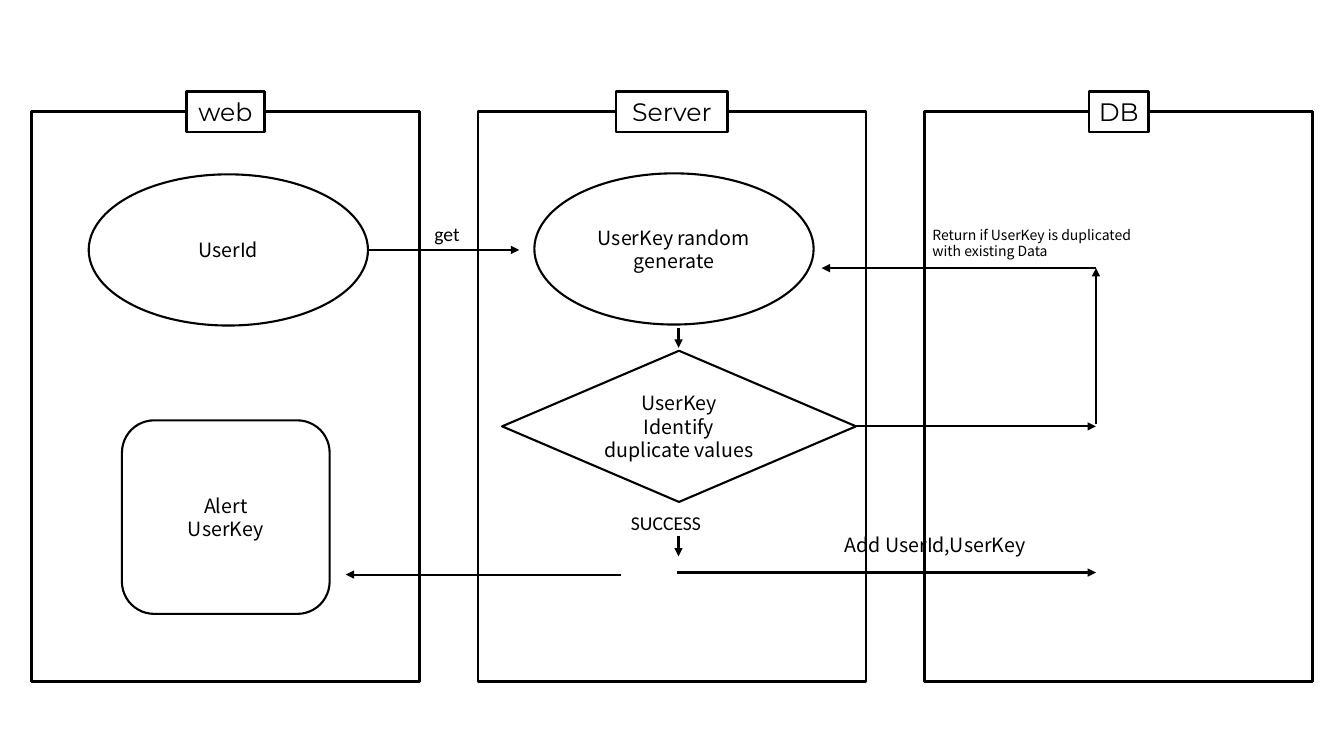
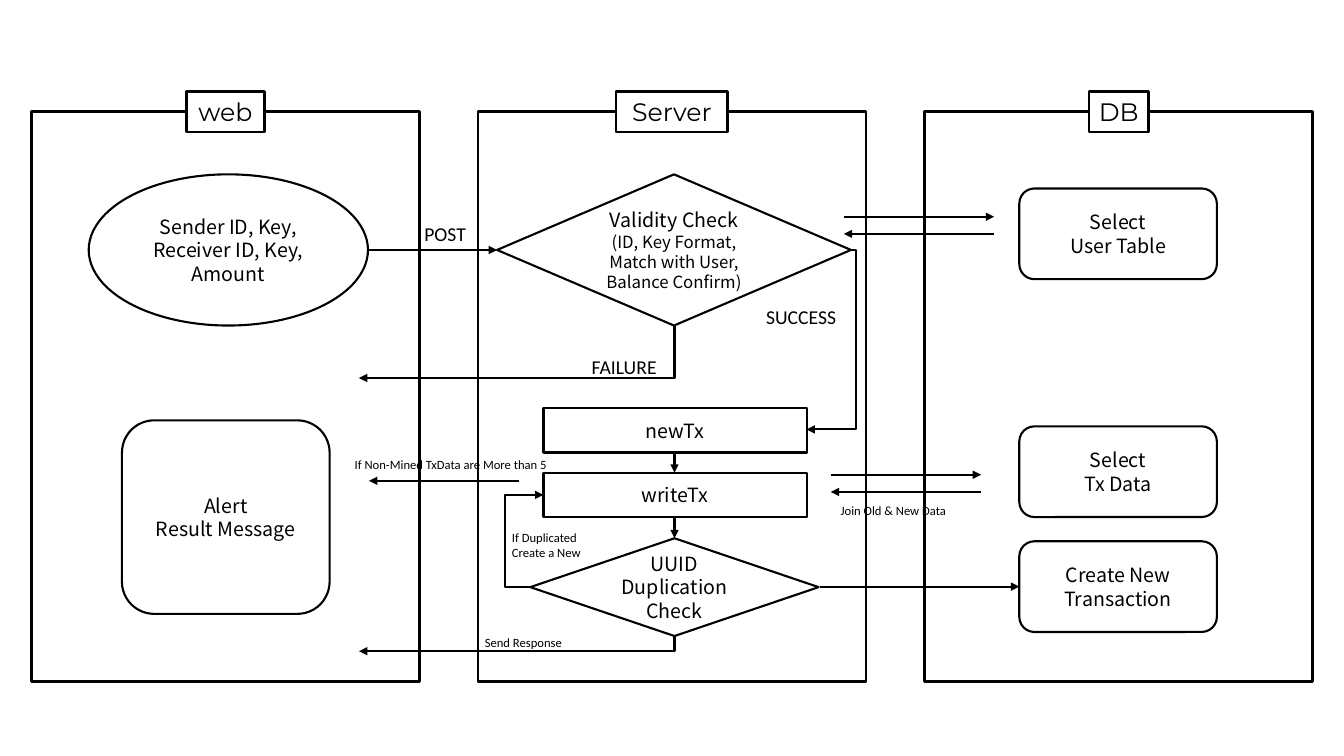
import dataclasses

import lxml.etree
import pptx
import pptx.dml.color
import pptx.enum.shapes
import pptx.enum.text
import pptx.oxml.ns
import pptx.util

Inches = pptx.util.Inches
Pt = pptx.util.Pt
Preset = pptx.enum.shapes.MSO_SHAPE
Link = pptx.enum.shapes.MSO_CONNECTOR
Align = pptx.enum.text.PP_ALIGN
Anchor = pptx.enum.text.MSO_ANCHOR
qn = pptx.oxml.ns.qn


@dataclasses.dataclass(frozen=True)
class Theme:
    ink: pptx.dml.color.RGBColor = pptx.dml.color.RGBColor(0, 0, 0)
    paper: pptx.dml.color.RGBColor = pptx.dml.color.RGBColor(255, 255, 255)
    heading_font: str = "Montserrat"
    body_font: str = "Noto Sans CJK KR"
    label_font: str = "Calibri"
    heading_size: int = 18
    body_size: int = 14
    detail_size: int = 12
    caption_size: int = 10
    note_size: int = 9
    frame_line: float = 2
    flow_line: float = 1.5
    leading: float = 1.2


THEME = Theme()

# Lane grid
LANE_NAMES = [("web", 0.77), ("Server", 1.11), ("DB", 0.59)]
LANE_LEFT, LANE_TOP, LANE_WIDTH, LANE_HEIGHT = 0.31, 1.11, 3.85, 5.65
LANE_STEP = 4.43
TAB_HEIGHT = 0.4


@dataclasses.dataclass(frozen=True)
class Lane:
    """A lane's origin; everything in it is placed relative to that."""
    page: object
    left: float
    top: float

    def point(self, x, y):
        return Inches(self.left + x), Inches(self.top + y)

    def node(self, preset, box, lines, sizes=()):
        """Outlined flowchart step with centred text."""
        x, y, width, height = box
        shape = self.page.shapes.add_shape(
            preset, *self.point(x, y), Inches(width), Inches(height))
        outline(shape, THEME.flow_line)
        write(shape, lines, THEME.body_font, sizes or [THEME.body_size] * len(lines),
              Align.CENTER, Anchor.MIDDLE)

    def label(self, box, lines, size=THEME.body_size, font=THEME.label_font,
              align=Align.LEFT, anchor=Anchor.TOP):
        """Free text beside an arrow."""
        x, y, width, height = box
        shape = self.page.shapes.add_textbox(
            *self.point(x, y), Inches(width), Inches(height))
        write(shape, lines, font, [size] * len(lines), align, anchor)

    def arrow(self, start, end, kind=Link.STRAIGHT):
        connector = self.page.shapes.add_connector(
            kind, *self.point(*start), *self.point(*end))
        connector.line.color.rgb = THEME.ink
        connector.line.width = Pt(THEME.flow_line)
        lxml.etree.SubElement(
            connector.line._get_or_add_ln(), qn("a:tailEnd"), type="triangle")
        lxml.etree.SubElement(connector._element.spPr, qn("a:effectLst"))
        return connector

    def side_arrow(self, start, end, side):
        """Elbow arrow that runs along the vertical at x = side."""
        connector = self.arrow(start, end, Link.ELBOW)
        bend = round((side - start[0]) / (end[0] - start[0]) * 100000)
        adjustments = connector._element.spPr.find(qn("a:prstGeom")).find(qn("a:avLst"))
        lxml.etree.SubElement(adjustments, qn("a:gd"), name="adj1", fmla=f"val {bend}")

    def down_left_arrow(self, start, end):
        """Arrow that goes down, then left: one corner, turned a quarter."""
        across, down = start[0] - end[0], end[1] - start[1]
        middle_x, middle_y = (start[0] + end[0]) / 2, (start[1] + end[1]) / 2
        connector = self.arrow(
            (middle_x - down / 2, middle_y - across / 2),
            (middle_x + down / 2, middle_y + across / 2), Link.ELBOW)
        properties = connector._element.spPr
        properties.find(qn("a:prstGeom")).set("prst", "bentConnector2")
        properties.find(qn("a:xfrm")).set("rot", "5400000")

    def exchange(self, left, top, width=1.49, gap=0.17):
        """Arrow out to the database and arrow back below it."""
        self.arrow((left, top), (left + width, top))
        self.arrow((left + width, top + gap), (left, top + gap))


def outline(shape, weight, fill=None):
    shape.shadow.inherit = False
    if fill is None:
        shape.fill.background()
    else:
        shape.fill.solid()
        shape.fill.fore_color.rgb = fill
    shape.line.color.rgb = THEME.ink
    shape.line.width = Pt(weight)


def write(shape, lines, font, sizes, align, anchor, wrap=True):
    frame = shape.text_frame
    frame.word_wrap = wrap
    frame.vertical_anchor = anchor
    frame.text = "\n".join(lines)
    for para, size in zip(frame.paragraphs, sizes):
        para.alignment = align
        if font == THEME.body_font:
            para.line_spacing = Pt(size * THEME.leading)
        for span in para.runs:
            span.font.name = font
            span.font.size = Pt(size)
            span.font.color.rgb = THEME.ink


def add_lane(page, left, top, name, tab_width):
    """Frame with a name tab centred on its top edge."""
    group = page.shapes.add_group_shape()
    frame = group.shapes.add_shape(
        Preset.RECTANGLE, Inches(left), Inches(top),
        Inches(LANE_WIDTH), Inches(LANE_HEIGHT))
    outline(frame, THEME.frame_line)
    tab = group.shapes.add_shape(
        Preset.RECTANGLE, Inches(left + (LANE_WIDTH - tab_width) / 2),
        Inches(top - TAB_HEIGHT / 2), Inches(tab_width), Inches(TAB_HEIGHT))
    outline(tab, THEME.frame_line, THEME.paper)
    write(tab, [name], THEME.heading_font, [THEME.heading_size],
          Align.CENTER, Anchor.MIDDLE, wrap=False)
    return Lane(page, left, top)


def add_lanes(deck):
    page = deck.slides.add_slide(deck.slide_layouts[6])
    return [add_lane(page, LANE_LEFT + index * LANE_STEP, LANE_TOP, name, width)
            for index, (name, width) in enumerate(LANE_NAMES)]


def fill_web(lane, request, method, method_box, reach, result):
    """Request sent by the page and the message it shows at the end."""
    lane.node(Preset.OVAL, (0.57, 0.62, 2.77, 1.5), request)
    lane.arrow((3.35, 1.37), (reach, 1.37))
    lane.label(method_box, [method])
    lane.node(Preset.ROUNDED_RECTANGLE, (0.9, 3.06, 2.06, 1.92), result)


def fill_key_server(lane):
    """Key generation, duplicate check and its outcomes."""
    axis, store = 1.99, 6.13
    lane.node(Preset.OVAL, (0.56, 0.61, 2.77, 1.5), ["UserKey random", "generate"])
    lane.node(Preset.FLOWCHART_DECISION, (0.24, 2.37, 3.51, 1.5),
              ["UserKey", "Identify duplicate values"])
    lane.arrow((axis, 2.14), (axis, 2.34))

    # Duplicate found: back to generation
    lane.arrow((3.73, 3.12), (store, 3.12))
    lane.arrow((store, 3.1), (store, 1.55))
    lane.arrow((store, 1.55), (3.41, 1.55))
    lane.label((4.41, 1.08, 2.43, 0.44),
               ["Return if UserKey is duplicated with existing Data"],
               THEME.caption_size, THEME.body_font, anchor=Anchor.MIDDLE)

    # Success: store the key and answer the page
    lane.label((1.42, 3.91, 1.01, 0.34), ["SUCCESS"])
    lane.arrow((axis, 4.21), (axis, 4.41))
    lane.arrow((1.97, 4.57), (store, 4.57))
    lane.label((3.23, 4.07, 2.61, 0.44), ["Add UserId,UserKey"],
               font=THEME.body_font, align=Align.CENTER, anchor=Anchor.MIDDLE)
    lane.arrow((1.42, 4.59), (-1.31, 4.59))


def fill_transfer_server(lane):
    """Validity check, transaction steps and UUID check."""
    axis, reply = 1.95, -1.18
    lane.node(Preset.FLOWCHART_DECISION, (0.19, 0.62, 3.51, 1.5),
              ["Validity Check", "(ID, Key Format, Match with User,", "Balance Confirm)"],
              [THEME.body_size, THEME.detail_size, THEME.detail_size])
    lane.node(Preset.RECTANGLE, (0.65, 2.94, 2.61, 0.44), ["newTx"])
    lane.node(Preset.RECTANGLE, (0.65, 3.58, 2.61, 0.44), ["writeTx"])
    lane.node(Preset.FLOWCHART_DECISION, (0.52, 4.23, 2.86, 0.97),
              ["UUID Duplication Check"])
    for top in (3.37, 4.02):
        lane.arrow((axis, top), (axis, top + 0.21))

    # Outcomes of the validity check
    lane.down_left_arrow((axis, 2.12), (reply, 2.64))
    lane.label((1.03, 2.36, 0.95, 0.34), ["FAILURE"])
    lane.side_arrow((3.7, 1.37), (3.26, 3.15), side=3.75)
    lane.label((2.76, 1.87, 1.01, 0.34), ["SUCCESS"])

    # Outcomes of the UUID check
    lane.side_arrow((0.52, 4.71), (0.65, 3.8), side=0.27)
    lane.arrow((3.39, 4.71), (5.37, 4.71))
    lane.down_left_arrow((axis, 5.2), (reply, 5.35))

    # Traffic with the page and the database
    lane.arrow((0.41, 3.66), (-1.08, 3.66))
    lane.exchange(3.63, 1.04)
    lane.exchange(3.5, 3.6)
    for box, lines in [
        ((0.24, 4.1, 1.03, 0.4), ["If Duplicated", "Create a New"]),
        ((3.5, 3.83, 1.46, 0.25), ["Join Old & New Data"]),
        ((-0.03, 5.14, 1.1, 0.25), ["Send Response"]),
        ((-1.32, 3.37, 2.26, 0.25), ["If Non-Mined TxData are More than 5"]),
    ]:
        lane.label(box, lines, THEME.note_size)


def fill_transfer_database(lane):
    for top, lines in [
        (0.76, ["Select", "User Table"]),
        (3.12, ["Select", "Tx Data"]),
        (4.26, ["Create New Transaction"]),
    ]:
        lane.node(Preset.ROUNDED_RECTANGLE, (0.94, top, 1.96, 0.9), lines)


def build_key_slide(deck):
    web, server, _ = add_lanes(deck)
    fill_web(web, ["UserId"], "get", (3.9, 1.04, 0.5, 0.34), 4.84,
             ["Alert", "UserKey"])
    fill_key_server(server)


def build_transfer_slide(deck):
    web, server, database = add_lanes(deck)
    fill_web(web, ["Sender ID, Key,", "Receiver ID, Key,", "Amount"],
             "POST", (3.8, 1.04, 0.69, 0.34), 4.62, ["Alert", "Result Message"])
    fill_transfer_server(server)
    fill_transfer_database(database)


def main():
    deck = pptx.Presentation()
    deck.slide_width, deck.slide_height = Inches(13.33), Inches(7.5)
    build_key_slide(deck)
    build_transfer_slide(deck)
    deck.save("out.pptx")


if __name__ == "__main__":
    main()
